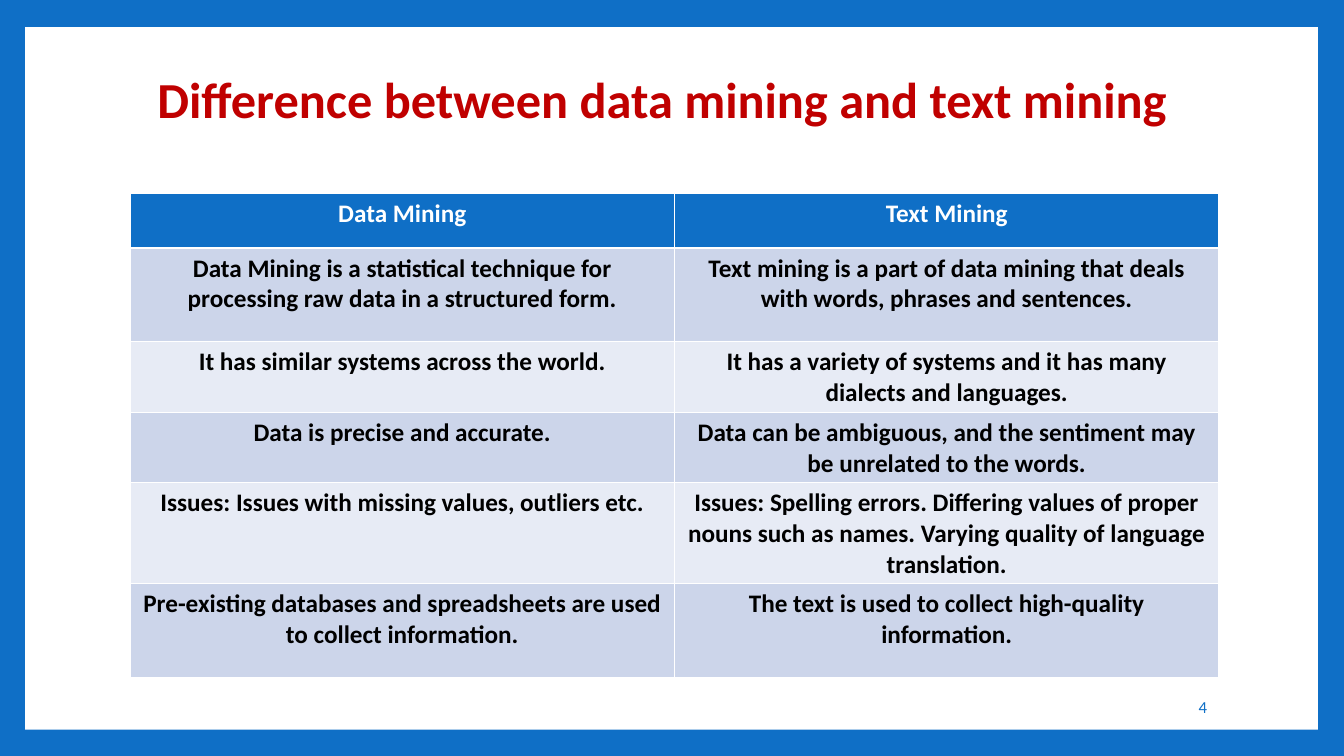
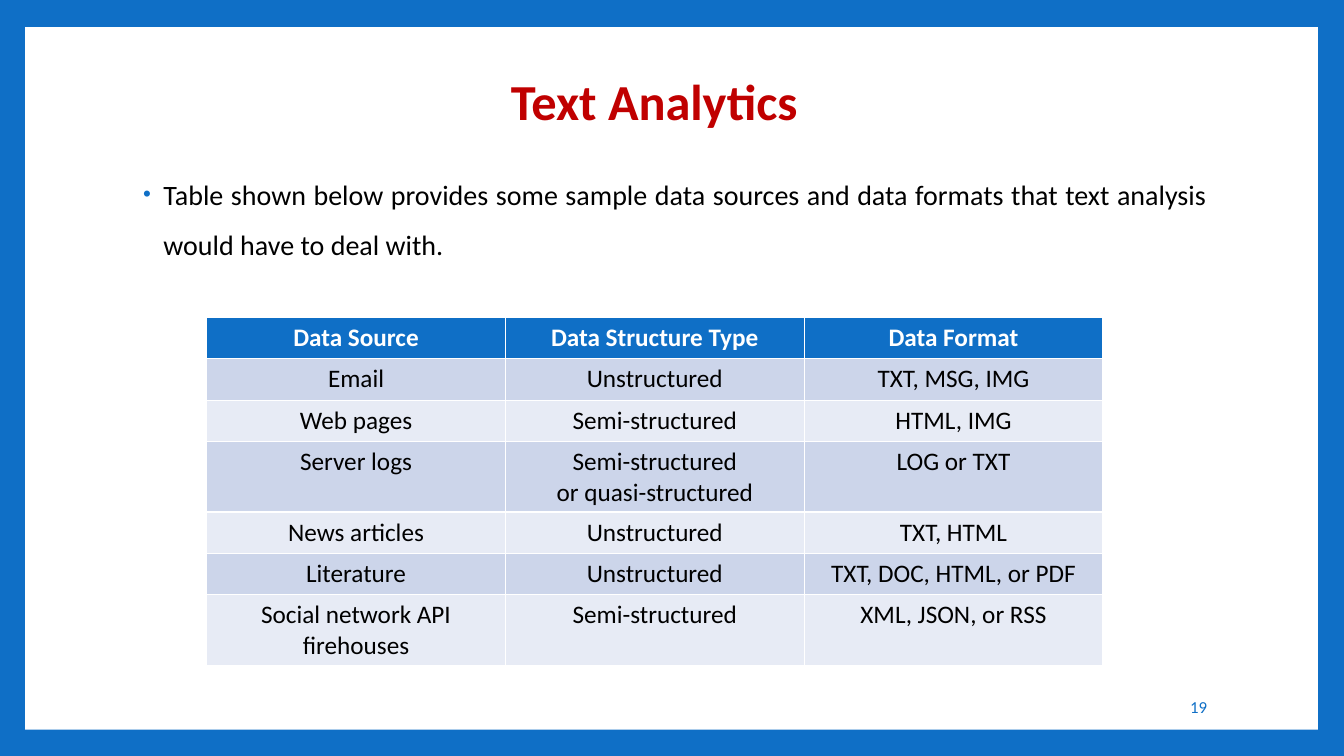
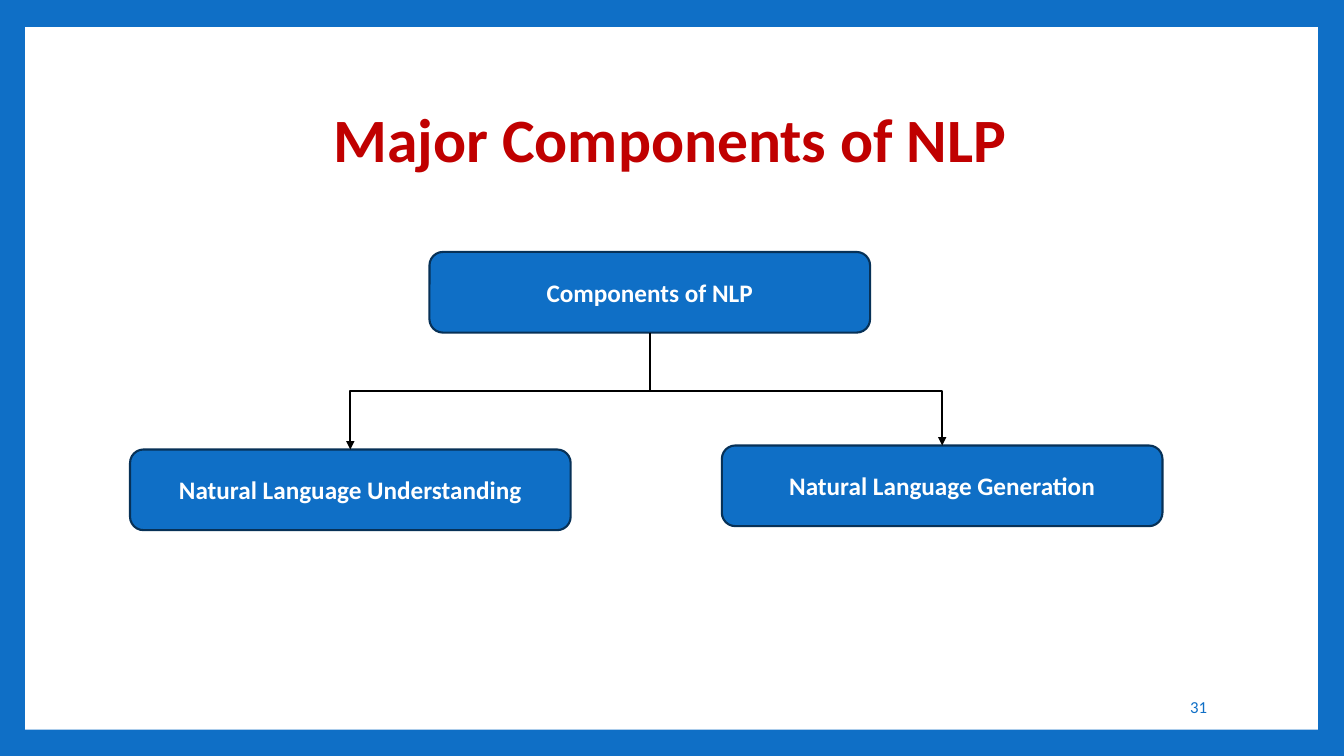
"""Build three slides on text mining, text analytics and NLP."""
from dataclasses import dataclass

from lxml.etree import SubElement
from pptx import Presentation
from pptx.dml.color import RGBColor
from pptx.enum.shapes import MSO_CONNECTOR, MSO_SHAPE
from pptx.enum.text import MSO_ANCHOR, MSO_AUTO_SIZE, PP_ALIGN
from pptx.oxml.ns import qn
from pptx.util import Inches, Pt

CENTER, RIGHT, JUSTIFY = PP_ALIGN.CENTER, PP_ALIGN.RIGHT, PP_ALIGN.JUSTIFY
MIDDLE, TOP = MSO_ANCHOR.MIDDLE, MSO_ANCHOR.TOP
NO_AUTO_SIZE = MSO_AUTO_SIZE.NONE
RECTANGLE, ROUNDED = MSO_SHAPE.RECTANGLE, MSO_SHAPE.ROUNDED_RECTANGLE
ELBOW = MSO_CONNECTOR.ELBOW
CONTENT_LAYOUT, TITLE_LAYOUT = 1, 5
BOTTOM_SIDE, TOP_SIDE = 2, 0


@dataclass(frozen=True)
class Theme:
    """Colours, font and type sizes shared by all slides."""

    font: str = "Calibri"
    blue: str = "0F6FC6"
    navy: str = "073157"
    red: str = "C00000"
    white: str = "FFFFFF"
    black: str = "000000"
    bands: tuple = ("CCD5EA", "E7EBF5")
    title_size: int = 36
    large_title_size: int = 44
    body_size: int = 20
    label_size: int = 18
    number_size: int = 12


THEME = Theme()

MINING_ROWS = [
    ("Data Mining", "Text Mining"),
    ("Data Mining is a statistical technique for processing raw data in a structured form.",
     "Text mining is a part of data mining that deals with words, phrases and sentences."),
    ("It has similar systems across the world.",
     "It has a variety of systems and it has many dialects and languages."),
    ("Data is precise and accurate.",
     "Data can be ambiguous, and the sentiment may be unrelated to the words."),
    ("Issues: Issues with missing values, outliers etc.",
     "Issues: Spelling errors. Differing values of proper nouns such as names. "
     "Varying quality of language translation."),
    ("Pre-existing databases and spreadsheets are used to collect information.",
     "The text is used to collect high-quality information."),
]

SOURCE_ROWS = [
    ("Data Source", "Data Structure Type", "Data Format"),
    ("Email", "Unstructured", "TXT, MSG, IMG"),
    ("Web pages", "Semi-structured", "HTML, IMG"),
    ("Server logs", "Semi-structured\nor quasi-structured", "LOG or TXT"),
    ("News articles", "Unstructured", "TXT, HTML"),
    ("Literature", "Unstructured", "TXT, DOC, HTML, or PDF"),
    ("Social network API firehouses", "Semi-structured", "XML, JSON, or RSS"),
]


def color(value):
    """Turn a hex string into a colour."""
    return RGBColor.from_string(value)


def paint(fill, value):
    """Apply a solid colour to a fill."""
    fill.solid()
    fill.fore_color.rgb = color(value)


def place(shape, left, top, width, height):
    """Position a shape, in inches."""
    shape.left, shape.top = Inches(left), Inches(top)
    shape.width, shape.height = Inches(width), Inches(height)


def add_bullet(paragraph):
    """Give a paragraph a small blue bullet with a hanging indent."""
    properties = paragraph._p.get_or_add_pPr()
    properties.set("marL", str(Inches(0.25)))
    properties.set("indent", str(Inches(-0.2)))
    bullet_color = SubElement(properties, qn("a:buClr"))
    SubElement(bullet_color, qn("a:srgbClr"), val=THEME.blue)
    SubElement(properties, qn("a:buSzPct"), val="80000")
    SubElement(properties, qn("a:buFont"), typeface="Arial")
    SubElement(properties, qn("a:buChar"), char="•")


def write(frame, text, size=THEME.label_size, ink=THEME.black, bold=False,
          align=CENTER, anchor=MIDDLE, spacing=None, bullet=False):
    """Fill a text frame with formatted text, one paragraph a line."""
    frame.text = text
    frame.word_wrap = True
    frame.vertical_anchor = anchor
    for paragraph in frame.paragraphs:
        if bullet:
            add_bullet(paragraph)
        paragraph.alignment = align
        paragraph.space_before = Pt(0)
        if spacing:
            paragraph.line_spacing = spacing
        for run in paragraph.runs:
            run.font.name = THEME.font
            run.font.size = Pt(size)
            run.font.bold = bold
            run.font.color.rgb = color(ink)


def add_box(slide, kind, area, fill, line=None):
    """Add a flat filled shape with an optional outline."""
    shape = slide.shapes.add_shape(kind, *map(Inches, area))
    shape.shadow.inherit = False
    paint(shape.fill, fill)
    if line:
        shape.line.color.rgb = color(line)
        shape.line.width = Pt(1.5)
    else:
        shape.line.fill.background()
    return shape


def style_master(presentation, slide):
    """Give the master a blue background and a white panel."""
    master = presentation.slide_master
    paint(master.background.fill, THEME.blue)
    panel = add_box(slide, RECTANGLE, (0.25, 0.27, 12.82, 6.97), THEME.white)
    panel.element.nvSpPr.cNvPr.id = 100
    master.shapes.element.insert(2, panel.element)


def add_slide(presentation, layout, title, left, top, number, size=THEME.title_size):
    """Add a slide with a red title and its number."""
    slide = presentation.slides.add_slide(presentation.slide_layouts[layout])
    place(slide.shapes.title, left, top, 10.8, 1.48)
    frame = slide.shapes.title.text_frame
    frame.auto_size = NO_AUTO_SIZE
    write(frame, title, size=size, ink=THEME.red, bold=True, spacing=0.9)
    footer = slide.shapes.add_textbox(*map(Inches, (10.2, 6.81, 1.87, 0.4)))
    write(footer.text_frame, str(number), size=THEME.number_size, ink=THEME.blue, align=RIGHT)
    return slide


def add_banded_table(slide, rows, area, heights, bold=False):
    """Add a table with a blue header and alternating row fills."""
    table = slide.shapes.add_table(len(rows), len(rows[0]), *map(Inches, area)).table
    for index, (texts, height) in enumerate(zip(rows, heights)):
        table.rows[index].height = Inches(height)
        header = index == 0
        fill = THEME.blue if header else THEME.bands[(index - 1) % 2]
        for cell, text in zip(table.rows[index].cells, texts):
            paint(cell.fill, fill)
            write(cell.text_frame, text, ink=THEME.white if header else THEME.black,
                  bold=header or bold, anchor=TOP)


def add_node(slide, text, left, top):
    """Add a rounded diagram box with a white label."""
    node = add_box(slide, ROUNDED, (left, top, 4.37, 0.8), THEME.blue, THEME.navy)
    write(node.text_frame, text, ink=THEME.white, bold=True)
    return node


def add_branch(slide, parent, child, bend):
    """Join a parent to a child below with an elbow arrow turning at a height."""
    start_x, start_y = parent.left + parent.width // 2, parent.top + parent.height
    end_x, end_y = child.left + child.width // 2, child.top
    connector = slide.shapes.add_connector(ELBOW, start_x, start_y, end_x, end_y)
    connector.begin_connect(parent, BOTTOM_SIDE)
    connector.end_connect(child, TOP_SIDE)
    drop, reach = end_y - start_y, abs(end_x - start_x)
    rightward = end_x > start_x
    connector.left = (start_x + end_x - drop) // 2
    connector.top = (start_y + end_y - reach) // 2
    connector.width, connector.height = drop, reach
    properties = connector.element.spPr
    transform = properties.find(qn("a:xfrm"))
    transform.set("rot", str((270 if rightward else 90) * 60000))
    transform.set("flipH", str(int(rightward)))
    ratio = round((Inches(bend) - start_y) / drop * 100000)
    guides = properties.find(qn("a:prstGeom")).find(qn("a:avLst"))
    SubElement(guides, qn("a:gd"), name="adj1", fmla=f"val {ratio}")
    connector.line.color.rgb = color(THEME.black)
    connector.line.width = Pt(1.5)
    SubElement(properties.find(qn("a:ln")), qn("a:tailEnd"), type="triangle")
    SubElement(properties, qn("a:effectLst"))


def build_mining_slide(presentation):
    """Compare data mining with text mining."""
    slide = add_slide(presentation, TITLE_LAYOUT,
                      "Difference between data mining and text mining", 1.17, 0.27, 4)
    style_master(presentation, slide)
    heights = [0.54, 0.93, 0.54, 0.54, 0.54, 0.93]
    add_banded_table(slide, MINING_ROWS, (1.29, 1.92, 10.8, 4.81), heights, bold=True)


def build_analytics_slide(presentation):
    """List data sources and formats for text analysis."""
    slide = add_slide(presentation, CONTENT_LAYOUT, "Text Analytics", 1.09, 0.29, 19)
    body = slide.placeholders[1]
    place(body, 1.27, 1.54, 10.8, 4.42)
    body.text_frame.auto_size = NO_AUTO_SIZE
    write(body.text_frame,
          "Table shown below provides some sample data sources and data formats "
          "that text analysis would have to deal with.",
          size=THEME.body_size, align=JUSTIFY, anchor=TOP, spacing=1.5, bullet=True)
    heights = [0.41] * len(SOURCE_ROWS)
    add_banded_table(slide, SOURCE_ROWS, (2.05, 3.15, 8.89, 3.43), heights)


def build_components_slide(presentation):
    """Draw the two components of NLP as a tree."""
    slide = add_slide(presentation, TITLE_LAYOUT, "Major Components of NLP",
                      1.25, 0.67, 31, size=THEME.large_title_size)
    root = add_node(slide, "Components of NLP", 4.26, 2.5)
    understanding = add_node(slide, "Natural Language Understanding", 1.29, 4.46)
    generation = add_node(slide, "Natural Language Generation", 7.16, 4.42)
    for child in (understanding, generation):
        add_branch(slide, root, child, bend=3.88)


def main():
    """Build and save the presentation."""
    presentation = Presentation()
    presentation.slide_width = Inches(13.33)
    presentation.slide_height = Inches(7.5)
    build_mining_slide(presentation)
    build_analytics_slide(presentation)
    build_components_slide(presentation)
    presentation.save("out.pptx")


if __name__ == "__main__":
    main()
